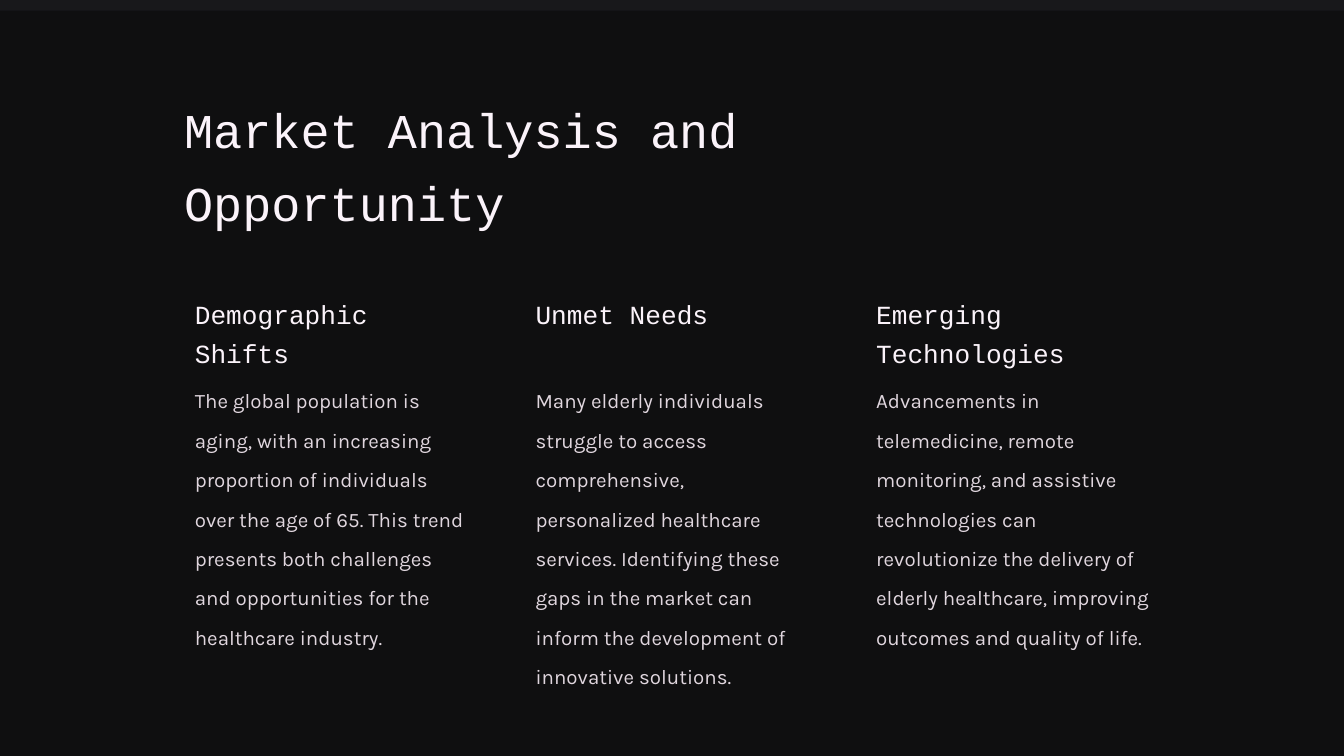
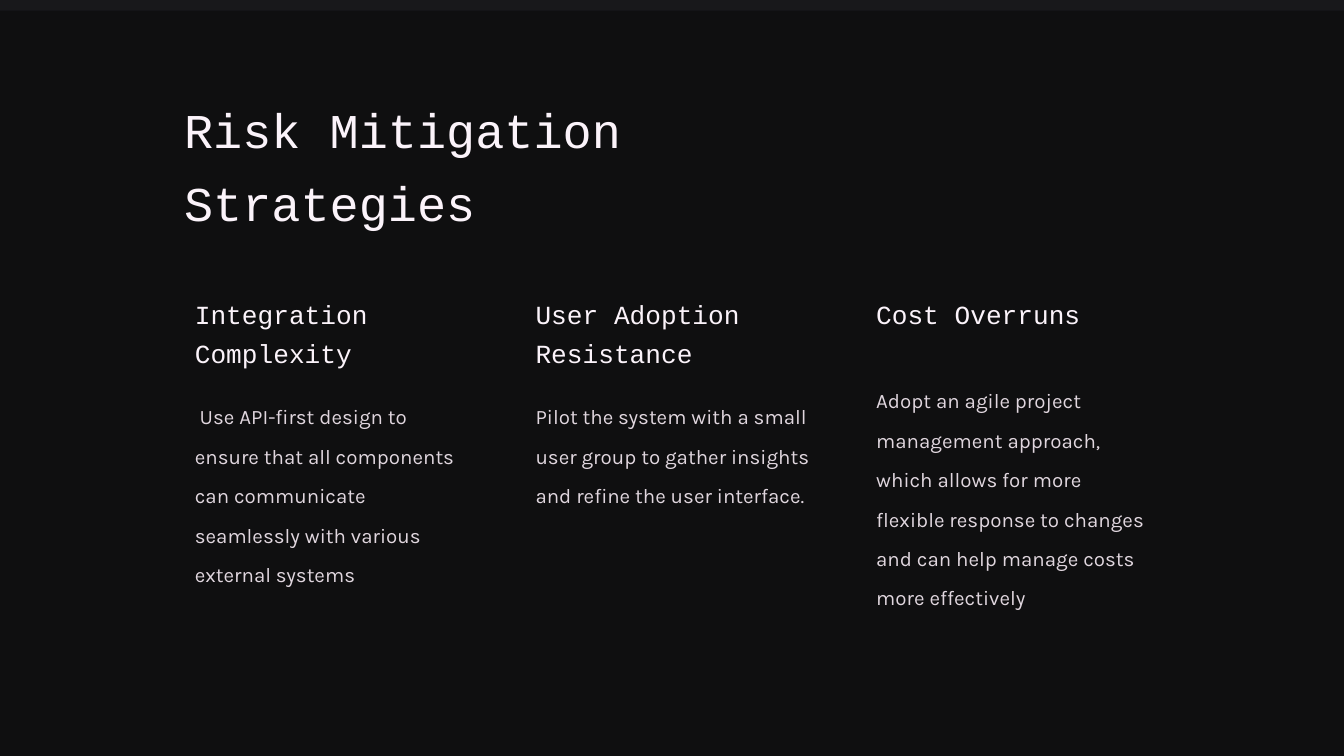
from pptx import Presentation
from pptx.dml.color import RGBColor
from pptx.enum.shapes import MSO_SHAPE
from pptx.util import Inches, Pt

RECT = MSO_SHAPE.RECTANGLE
BAND = RGBColor(0x18, 0x18, 0x1B)
PANEL = RGBColor(0x0F, 0x0F, 0x10)
LIGHT = RGBColor(0xFB, 0xF3, 0xFA)
MUTED = RGBColor(0xE0, 0xD6, 0xDE)
MONO, SANS = "Courier New", "Karla"

W, H = 10, 10 * 9 / 16
BAND_H = 0.08
TITLE_X, TITLE_Y, TITLE_H = 1.31, 0.61, 0.47
COL_X, COL_STEP, COL_W = 1.39, 2.535, 2.16
HEAD_Y, BODY_Y, LOW_BODY_Y = 2.13, 2.75, 2.87
HEAD_SIZES = [(1.95, 0.24), (1.9, 0.24), (COL_W, 0.47)]
BODY_HEIGHTS = [1.46, 1.7, 1.46]

SLIDES = [
    ("Market Analysis and Opportunity", 6.71, [
        ("Demographic Shifts", BODY_Y,
         "The global population is aging, with an increasing proportion of "
         "individuals over the age of 65. This trend presents both challenges "
         "and opportunities for the healthcare industry."),
        ("Unmet Needs", BODY_Y,
         "Many elderly individuals struggle to access comprehensive, "
         "personalized healthcare services. Identifying these gaps in the "
         "market can inform the development of innovative solutions."),
        ("Emerging Technologies", BODY_Y,
         "Advancements in telemedicine, remote monitoring, and assistive "
         "technologies can revolutionize the delivery of elderly healthcare, "
         "improving outcomes and quality of life."),
    ]),
    ("Risk Mitigation Strategies", 5.27, [
        ("Integration Complexity", LOW_BODY_Y,
         " Use API-first design to ensure that all components can communicate "
         "seamlessly with various external systems"),
        ("User Adoption Resistance", LOW_BODY_Y,
         "Pilot the system with a small user group to gather insights and "
         "refine the user interface."),
        ("Cost Overruns", BODY_Y,
         "Adopt an agile project management approach, which allows for more "
         "flexible response to changes and can help manage costs more "
         "effectively"),
    ]),
]


def add_panel(slide, y, color):
    """Add a slide-sized rectangle starting at height y."""
    sp = slide.shapes.add_shape(RECT, 0, Inches(y), Inches(W), Inches(H))
    sp.shadow.inherit = False
    sp.fill.solid()
    sp.fill.fore_color.rgb = color
    sp.line.fill.background()


def add_text(slide, text, x, y, w, h, size, font=MONO, color=LIGHT, spacing=1.25):
    """Add a wrapped single-paragraph text box."""
    sp = slide.shapes.add_textbox(Inches(x), Inches(y), Inches(w), Inches(h))
    tf = sp.text_frame
    tf.word_wrap = True
    tf.margin_left = tf.margin_right = Inches(0.06)
    tf.margin_top = tf.margin_bottom = Inches(0.03)
    p = tf.paragraphs[0]
    p.text = text
    p.line_spacing = spacing
    p.font.size = Pt(size)
    p.font.name = font
    p.font.color.rgb = color


def add_column(slide, col, heading, body_y, body):
    """Add a heading and its body text in the given column."""
    x = COL_X + col * COL_STEP
    add_text(slide, heading, x, HEAD_Y, *HEAD_SIZES[col], 14)
    add_text(slide, body, x, body_y, COL_W, BODY_HEIGHTS[col], 11, SANS, MUTED, 1.6)


def add_slide(prs, title, title_w, columns):
    """Add a dark slide with a title and three text columns."""
    slide = prs.slides.add_slide(prs.slide_layouts[6])
    add_panel(slide, 0, BAND)
    add_panel(slide, BAND_H, PANEL)
    add_text(slide, title, TITLE_X, TITLE_Y, title_w, TITLE_H, 26)
    for col, content in enumerate(columns):
        add_column(slide, col, *content)


def main():
    """Build and save the presentation."""
    prs = Presentation()
    prs.slide_width, prs.slide_height = Inches(W), Inches(H)
    for content in SLIDES:
        add_slide(prs, *content)
    prs.save("out.pptx")


if __name__ == "__main__":
    main()
